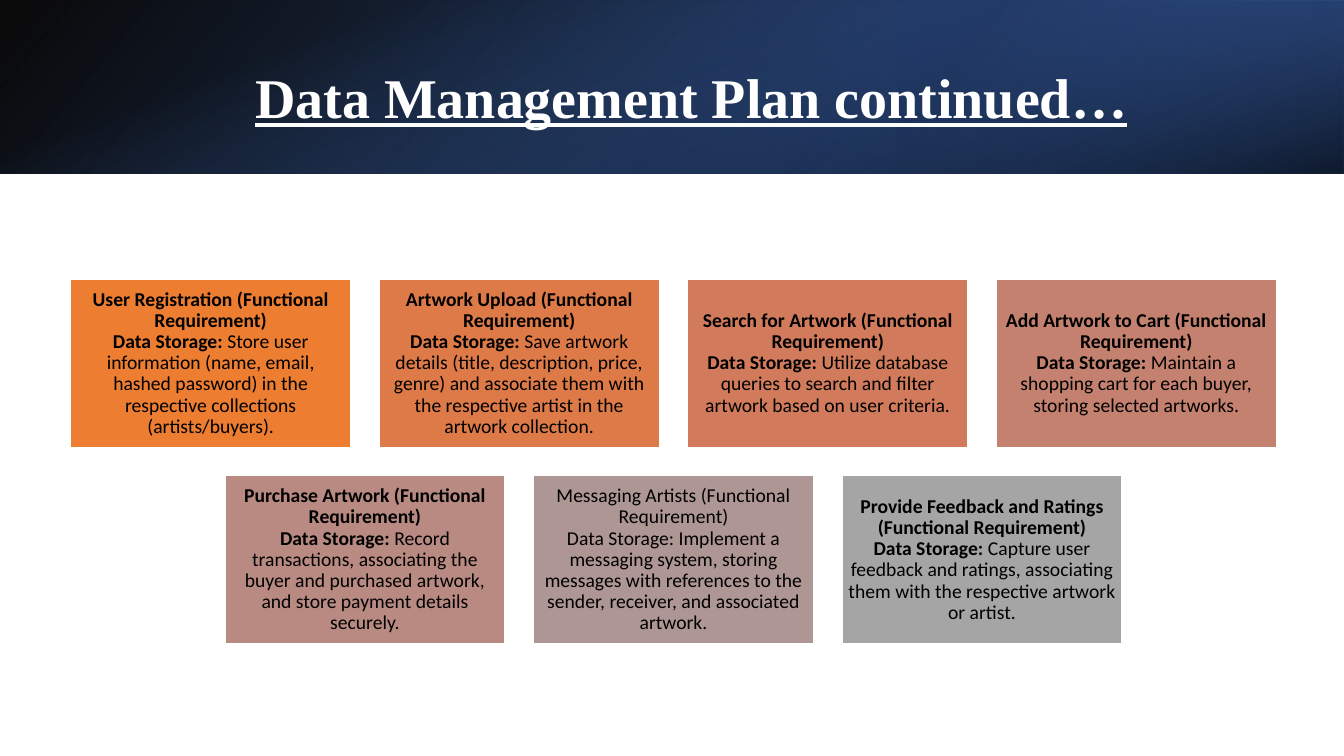
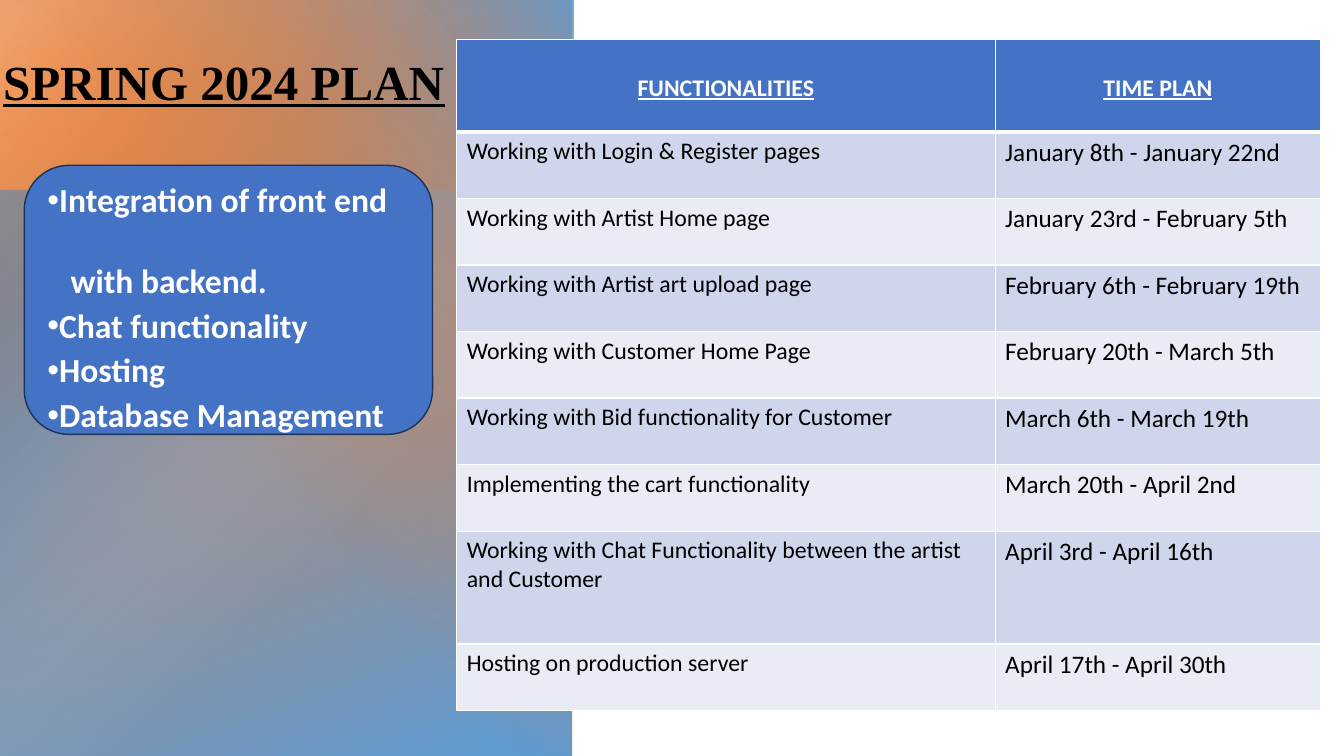
from pptx import Presentation
from pptx.dml.color import RGBColor
from pptx.enum.shapes import MSO_SHAPE as SHAPE
from pptx.enum.text import MSO_ANCHOR as ANCHOR, MSO_AUTO_SIZE as AUTO_SIZE, PP_ALIGN as ALIGN
from pptx.oxml import parse_xml
from pptx.oxml.ns import nsdecls, qn
from pptx.util import Inches, Pt

WHITE = RGBColor(0xFF, 0xFF, 0xFF)
BLACK = RGBColor(0x00, 0x00, 0x00)
BLUE = RGBColor(0x44, 0x72, 0xC4)
DARK_BLUE = RGBColor(0x2F, 0x55, 0x97)
NAVY = RGBColor(0x20, 0x38, 0x64)
OUTLINE = RGBColor(0x1E, 0x32, 0x56)
ORANGE = RGBColor(0xED, 0x7D, 0x31)
PEACH = RGBColor(0xF4, 0xB1, 0x83)
SKY = RGBColor(0x5B, 0x9B, 0xD5)
DEEP_SKY = RGBColor(0x2E, 0x75, 0xB6)
PALE_SKY = RGBColor(0x9D, 0xC3, 0xE6)
BAND_DARK = RGBColor(0xCF, 0xD5, 0xEA)
BAND_LIGHT = RGBColor(0xE9, 0xEB, 0xF5)
CARD_COLORS = [
    ORANGE, RGBColor(0xDE, 0x7A, 0x47), RGBColor(0xD1, 0x7B, 0x5C),
    RGBColor(0xC4, 0x81, 0x70), RGBColor(0xB9, 0x8A, 0x82),
    RGBColor(0xAE, 0x96, 0x94), RGBColor(0xA5, 0xA5, 0xA5),
]
TITLE_FONT = "Times New Roman"
BODY_FONT = "Calibri"


def add_gradient(slide, box, stops, angle=None, rotation=0, flip=False):
    """Add a rectangle; stops are (position, colour, opacity), no angle means radial."""
    panel = slide.shapes.add_shape(SHAPE.RECTANGLE, *map(Inches, box))
    panel.shadow.inherit = False
    panel.line.fill.background()
    panel.fill.background()
    panel.rotation = rotation
    properties = panel._element.spPr
    if flip:
        properties.xfrm.set("flipH", "1")
    stop_xml = "".join(
        f'<a:gs pos="{position * 1000}"><a:srgbClr val="{color}">'
        f'<a:alpha val="{opacity * 1000}"/></a:srgbClr></a:gs>'
        for position, color, opacity in stops)
    if angle is None:
        direction = '<a:path path="circle"><a:fillToRect r="100000" b="100000"/></a:path>'
    else:
        direction = f'<a:lin ang="{angle * 60000}" scaled="0"/>'
    gradient = parse_xml(f'<a:gradFill {nsdecls("a")} rotWithShape="1">'
                         f'<a:gsLst>{stop_xml}</a:gsLst>{direction}</a:gradFill>')
    properties.replace(properties.find(qn("a:noFill")), gradient)


def place_title(slide, text, box, size, color, align):
    """Fill the title placeholder and bring it in front of the background."""
    title = slide.shapes.title
    title.left, title.top, title.width, title.height = map(Inches, box)
    frame = title.text_frame
    frame.text = text
    frame.word_wrap = False
    frame.auto_size = AUTO_SIZE.NONE
    frame.vertical_anchor = ANCHOR.BOTTOM
    paragraph = frame.paragraphs[0]
    paragraph.alignment = align
    font = paragraph.runs[0].font
    font.name, font.size, font.bold, font.underline = TITLE_FONT, Pt(size), True, True
    font.color.rgb = color
    slide.shapes._spTree.append(title._element)


prs = Presentation()
prs.slide_width, prs.slide_height = Inches(13.33), Inches(7.5)

# Data management plan
data_plan = prs.slides.add_slide(prs.slide_layouts[5])
add_gradient(data_plan, (0, 0, 13.33, 1.72),
             [(0, BLACK, 96), (100, DARK_BLUE, 100)], 140, flip=True)
add_gradient(data_plan, (8.89, 0, 4.44, 1.72),
             [(19, NAVY, 68), (100, BLUE, 79)], 320, rotation=180, flip=True)
add_gradient(data_plan, (5.8, -5.8, 1.72, 13.33),
             [(23, BLUE, 0), (99, BLACK, 74)], 340, rotation=90)
place_title(data_plan, "Data Management Plan continued…", (2.38, 0.57, 8.95, 0.77),
            40, WHITE, ALIGN.CENTER)

REQUIREMENTS = [
    ("User Registration", "Store user information (name, email, hashed password) "
     "in the respective collections (artists/buyers)."),
    ("Artwork Upload", "Save artwork details (title, description, price, genre) and "
     "associate them with the respective artist in the artwork collection."),
    ("Search for Artwork", "Utilize database queries to search and filter artwork "
     "based on user criteria."),
    ("Add Artwork to Cart", "Maintain a shopping cart for each buyer, storing "
     "selected artworks."),
    ("Purchase Artwork", "Record transactions, associating the buyer and purchased "
     "artwork, and store payment details securely."),
    ("Messaging Artists", "Implement a messaging system, storing messages with "
     "references to the sender, receiver, and associated artwork."),
    ("Provide Feedback and Ratings", "Capture user feedback and ratings, associating "
     "them with the respective artwork or artist."),
]
CARD_WIDTH, CARD_HEIGHT, CARD_GAP = 2.78, 1.67, 0.28
CARDS_PER_ROW, CARDS_CENTER, CARDS_TOP = 4, 6.68, 2.77

for index, (requirement, storage) in enumerate(REQUIREMENTS):
    row, column = divmod(index, CARDS_PER_ROW)
    in_row = min(CARDS_PER_ROW, len(REQUIREMENTS) - row * CARDS_PER_ROW)
    row_width = in_row * (CARD_WIDTH + CARD_GAP) - CARD_GAP
    left = CARDS_CENTER - row_width / 2 + column * (CARD_WIDTH + CARD_GAP)
    top = CARDS_TOP + row * (CARD_HEIGHT + CARD_GAP)
    card = data_plan.shapes.add_shape(SHAPE.RECTANGLE, Inches(left), Inches(top),
                                      Inches(CARD_WIDTH), Inches(CARD_HEIGHT))
    card.shadow.inherit = False
    card.fill.solid()
    card.fill.fore_color.rgb = CARD_COLORS[index]
    card.line.color.rgb = WHITE
    card.line.width = Pt(1)
    frame = card.text_frame
    frame.word_wrap = True
    frame.vertical_anchor = ANCHOR.MIDDLE
    frame.margin_left = frame.margin_right = Inches(0.06)
    frame.margin_top = frame.margin_bottom = Inches(0.06)
    frame.text = f"{requirement} (Functional Requirement)\nData Storage: "
    heading, detail = frame.paragraphs
    detail.add_run().text = storage
    for paragraph in (heading, detail):
        paragraph.alignment = ALIGN.CENTER
        paragraph.line_spacing = 0.9
        for run in paragraph.runs:
            run.font.name, run.font.size = BODY_FONT, Pt(14)
            run.font.color.rgb = BLACK
            run.font.bold = requirement != "Messaging Artists" and run.text != storage

# Spring plan
spring_plan = prs.slides.add_slide(prs.slide_layouts[1])
add_gradient(spring_plan, (-0.02, 0, 5.69, 7.53),
             [(7, ORANGE, 100), (100, SKY, 100)], 70)
add_gradient(spring_plan, (-0.02, 1.89, 5.69, 5.63),
             [(0, DEEP_SKY, 100), (60, PALE_SKY, 0)], rotation=180)
add_gradient(spring_plan, (-0.02, 0.01, 4.19, 7.52),
             [(3, PEACH, 78), (42, ORANGE, 0)], 50)
add_gradient(spring_plan, (-0.92, 0.91, 7.52, 5.69),
             [(0, SKY, 86), (57, ORANGE, 0)], 230, rotation=270)
place_title(spring_plan, "SPRING 2024 PLAN", (-0.07, 0.4, 4.6, 0.74),
            35, BLACK, ALIGN.LEFT)

goals_panel = spring_plan.shapes.add_shape(SHAPE.ROUNDED_RECTANGLE, Inches(0.24),
                                           Inches(1.64), Inches(4.05), Inches(2.67))
goals_panel.shadow.inherit = False
goals_panel.fill.solid()
goals_panel.fill.fore_color.rgb = BLUE
goals_panel.line.color.rgb = OUTLINE
goals_panel.line.width = Pt(1)

# (text, left margin in inches, bulleted, space after in points)
GOALS = [
    ("Integration of front end", 0, True, 32),
    ("with backend.", 0.23, False, 6),
    ("Chat functionality", 0, True, 6),
    ("Hosting", 0, True, 6),
    ("Database Management", 0, True, 6),
]
goals = spring_plan.placeholders[1]
goals.left, goals.top, goals.width, goals.height = map(Inches, (0.37, 1.77, 3.79, 2.41))
goals.text_frame.text = "\n".join(goal[0] for goal in GOALS)
goals.text_frame.auto_size = AUTO_SIZE.NONE
for paragraph, (_, margin, bulleted, space_after) in zip(goals.text_frame.paragraphs, GOALS):
    paragraph.line_spacing = 0.9
    paragraph.space_before = Pt(0)
    paragraph.space_after = Pt(space_after)
    settings = paragraph._p.get_or_add_pPr()
    settings.set("marL", str(Inches(margin)))
    settings.set("indent", "0")
    bullet = '<a:buChar {} char="•"/>' if bulleted else "<a:buNone {}/>"
    settings.append(parse_xml(bullet.format(nsdecls("a"))))
    font = paragraph.runs[0].font
    font.name, font.size, font.bold = BODY_FONT, Pt(24), True
    font.color.rgb = WHITE
spring_plan.shapes._spTree.append(goals._element)

SCHEDULE = [
    ("FUNCTIONALITIES", "TIME PLAN"),
    ("Working with Login & Register pages", "January 8th - January 22nd"),
    ("Working with Artist Home page", "January 23rd - February 5th"),
    ("Working with Artist art upload page", "February 6th - February 19th"),
    ("Working with Customer Home Page", "February 20th - March 5th"),
    ("Working with Bid functionality for Customer", "March 6th - March 19th"),
    ("Implementing the cart functionality", "March 20th - April 2nd"),
    ("Working with Chat Functionality between the artist and Customer",
     "April 3rd - April 16th"),
    ("Hosting on production server", "April 17th - April 30th"),
]
ROW_HEIGHTS = [0.92] + [0.66] * 6 + [1.12, 0.66]
schedule = spring_plan.shapes.add_table(len(SCHEDULE), 2, Inches(4.53), Inches(0.39),
                                        Inches(8.57), Inches(sum(ROW_HEIGHTS))).table
schedule.columns[0].width, schedule.columns[1].width = Inches(5.34), Inches(3.23)
for row, entries in enumerate(SCHEDULE):
    schedule.rows[row].height = Inches(ROW_HEIGHTS[row])
    is_header = row == 0
    for column, entry in enumerate(entries):
        cell = schedule.cell(row, column)
        cell.text = entry
        cell.fill.solid()
        cell.fill.fore_color.rgb = BLUE if is_header else BAND_DARK if row % 2 else BAND_LIGHT
        paragraph = cell.text_frame.paragraphs[0]
        font = paragraph.runs[0].font
        font.name = BODY_FONT
        font.size = Pt(18 if column and not is_header else 17)
        font.bold = font.underline = is_header
        font.color.rgb = WHITE if is_header else BLACK
        if is_header:
            paragraph.alignment = ALIGN.CENTER
            cell.vertical_anchor = ANCHOR.MIDDLE
            cell.margin_top = Inches(0.1)
            cell._tc.get_or_add_tcPr().insert(0, parse_xml(
                f'<a:lnB {nsdecls("a")} w="{Pt(3)}"><a:solidFill>'
                f'<a:srgbClr val="{WHITE}"/></a:solidFill></a:lnB>'))

prs.save("out.pptx")
